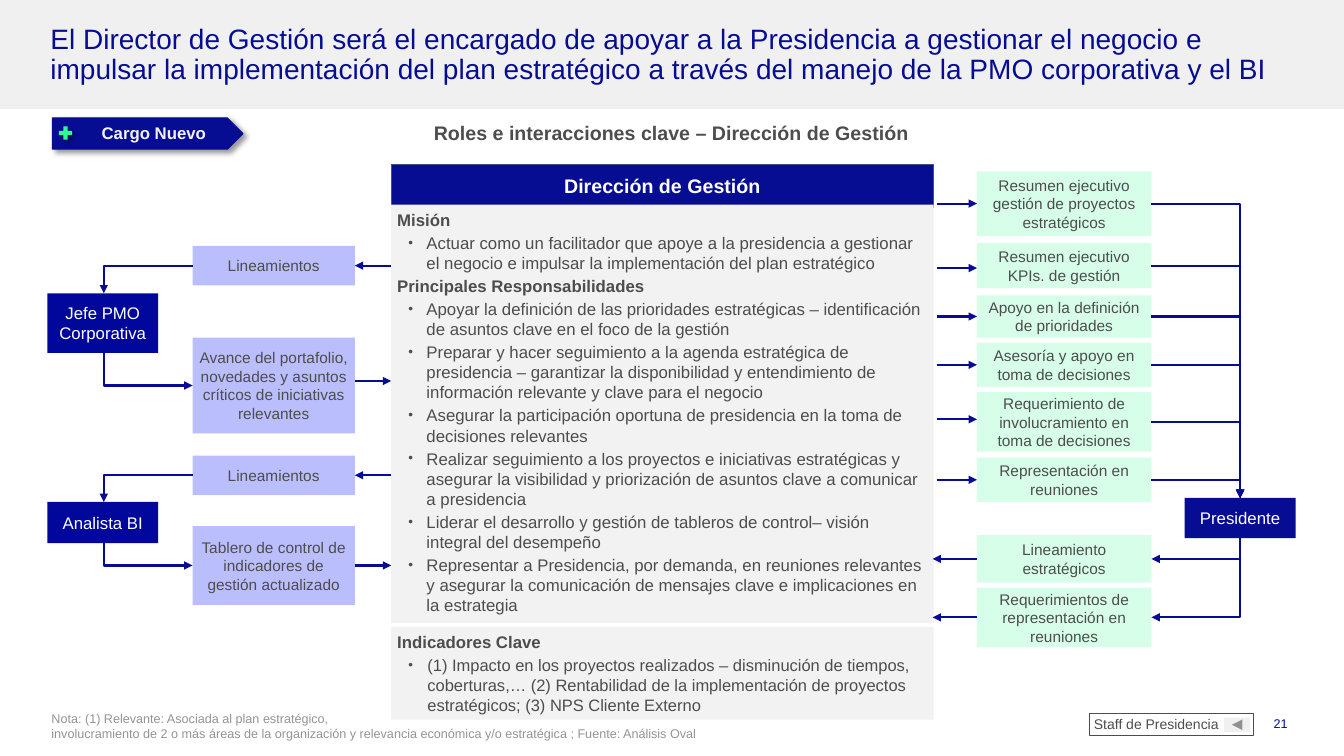
from lxml.etree import SubElement
from pptx import Presentation
from pptx.dml.color import RGBColor
from pptx.enum.shapes import MSO_CONNECTOR, MSO_SHAPE
from pptx.enum.text import MSO_ANCHOR, PP_ALIGN
from pptx.oxml.ns import qn
from pptx.util import Inches, Pt

COLORS = {
    "navy": "070D93", "role": "00079A", "lilac": "BBBEFC", "mint": "D6FEE9",
    "band": "F0F0F0", "panel": "F2F2F2", "text": "4D4D4D", "note": "949494",
    "white": "FFFFFF", "plus": "33F893", "edge": "42508E", "black": "000000",
}
TIGHT = (0.06, 0.05)
NARROW = (0.04, 0.05)


def rgb(name):
    return RGBColor.from_string(COLORS[name])


class SlideBuilder:
    font = "Arial"

    def __init__(self, slide):
        self.slide = slide

    def _frame(self, item, insets, anchor):
        frame = item.text_frame
        frame.word_wrap = True
        frame.vertical_anchor = anchor
        frame.margin_left = frame.margin_right = Inches(insets[0])
        frame.margin_top = frame.margin_bottom = Inches(insets[1])
        return frame

    def paragraph(self, frame, text, size, color, bold=False, align=PP_ALIGN.LEFT,
                  spacing=None, after=0, bullet=None, indent=0):
        """Fill the first empty paragraph or add one; bullet is (margin, hanging)."""
        first = frame.paragraphs[0]
        para = frame.add_paragraph() if first.runs else first
        para.alignment = align
        para.space_after = Pt(after)
        if spacing:
            para.line_spacing = spacing
        props = para._p.get_or_add_pPr()
        if indent:
            props.set("marL", str(Inches(indent)))
        if bullet:
            props.set("marL", str(Inches(bullet[0])))
            props.set("indent", str(-Inches(bullet[1])))
            tint = SubElement(props, qn("a:buClr"))
            SubElement(tint, qn("a:srgbClr"), val=COLORS[color])
            SubElement(props, qn("a:buSzPct"), val="80000")
            SubElement(props, qn("a:buFont"), typeface=self.font)
            SubElement(props, qn("a:buChar"), char="•")
        for i, line in enumerate(text.split("\n")):
            if i:
                para.add_line_break()
            run = para.add_run()
            run.text = line
            run.font.name, run.font.size, run.font.bold = self.font, Pt(size), bold
            run.font.color.rgb = rgb(color)

    def text(self, at, text, size, color, insets=(0.1, 0.05), anchor=MSO_ANCHOR.TOP, **style):
        box = self.slide.shapes.add_textbox(*map(Inches, at))
        self.paragraph(self._frame(box, insets, anchor), text, size, color, **style)

    def shape(self, at, fill=None, kind=MSO_SHAPE.RECTANGLE, line=None, width=0.75, shadow=False):
        item = self.slide.shapes.add_shape(kind, *map(Inches, at))
        item.shadow.inherit = False
        if fill:
            item.fill.solid()
            item.fill.fore_color.rgb = rgb(fill)
        else:
            item.fill.background()
        if line:
            item.line.color.rgb = rgb(line)
            item.line.width = Pt(width)
        else:
            item.line.fill.background()
        if shadow:
            effects = item._element.spPr.find(qn("a:effectLst"))
            outer = SubElement(effects, qn("a:outerShdw"), blurRad=str(Pt(4)), dist=str(Pt(3)),
                               dir="2700000", algn="tl", rotWithShape="0")
            tint = SubElement(outer, qn("a:srgbClr"), val=COLORS["black"])
            SubElement(tint, qn("a:alpha"), val="40000")
        return item

    def box(self, at, text, fill, size=11, color="text", insets=TIGHT, align=PP_ALIGN.CENTER,
            bold=False, spacing=None, after=0, indent=0, **look):
        item = self.shape(at, fill, **look)
        frame = self._frame(item, insets, MSO_ANCHOR.MIDDLE)
        self.paragraph(frame, text, size, color, bold, align, spacing, after, indent=indent)
        return item

    def panel(self, at, entries, bullet, bullet_size):
        """Grey panel; entries are (text, is_heading)."""
        frame = self._frame(self.shape(at, "panel"), TIGHT, MSO_ANCHOR.TOP)
        for text, heading in entries:
            self.paragraph(frame, text, 12 if heading else bullet_size, "text", bold=heading,
                           after=2, bullet=None if heading else bullet)

    def _connector(self, kind, start, end, arrow):
        link = self.slide.shapes.add_connector(kind, *map(Inches, (*start, *end)))
        link.line.color.rgb = rgb("navy")
        link.line.width = Pt(1.5)
        SubElement(link.line._get_or_add_ln(), qn(f"a:{arrow}"), type="triangle")
        SubElement(link._element.spPr, qn("a:effectLst"))
        return link

    def arrow(self, start, end, begin_at=None, end_at=None):
        """Straight arrow; begin_at and end_at are (box, side)."""
        link = self._connector(MSO_CONNECTOR.STRAIGHT, start, end, "tailEnd")
        if begin_at:
            link.begin_connect(*begin_at)
        if end_at:
            link.end_connect(*end_at)

    def elbow(self, side, stem, arrow):
        """One-bend line, level from side and then upright to stem."""
        link = self._connector(MSO_CONNECTOR.ELBOW, side, stem, arrow)
        link._element.spPr.find(qn("a:prstGeom")).set("prst", "bentConnector2")


def build_header(b):
    b.shape((0, 0, 13.33, 1.08), "band")
    b.text((0.46, 0.2, 12.4, 0.69),
           "El Director de Gestión será el encargado de apoyar a la Presidencia a gestionar el "
           "negocio e impulsar la implementación del plan estratégico a través del manejo de la "
           "PMO corporativa y el BI", 20, "navy", insets=NARROW, spacing=0.9)
    b.text((0.46, 1.18, 12.4, 0.31), "Roles e interacciones clave – Dirección de Gestión", 14,
           "text", anchor=MSO_ANCHOR.MIDDLE, bold=True, align=PP_ALIGN.CENTER, spacing=0.9)
    b.box((0.52, 1.17, 1.89, 0.31), "Cargo Nuevo", "navy", 12, "panel", NARROW, bold=True,
          spacing=0.9, indent=0.2, kind=MSO_SHAPE.PENTAGON, line="navy", shadow=True)
    b.shape((0.56, 1.23, 0.18, 0.18), "plus", MSO_SHAPE.MATH_PLUS, shadow=True)


def build_center(b):
    b.box((3.88, 1.63, 5.38, 0.43), "Dirección de Gestión", "navy", 14, "white",
          bold=True, line="edge", width=0.5)
    b.panel((3.88, 2.03, 5.38, 4.15), [
        ("Misión", True),
        ("Actuar como un facilitador que apoye a la presidencia a gestionar el negocio e impulsar "
         "la implementación del plan estratégico", False),
        ("Principales Responsabilidades", True),
        ("Apoyar la definición de las prioridades estratégicas – identificación de asuntos clave "
         "en el foco de la gestión", False),
        ("Preparar y hacer seguimiento a la agenda estratégica de presidencia – garantizar la "
         "disponibilidad y entendimiento de información relevante y clave para el negocio", False),
        ("Asegurar la participación oportuna de presidencia en la toma de decisiones relevantes",
         False),
        ("Realizar seguimiento a los proyectos e iniciativas estratégicas y asegurar la "
         "visibilidad y priorización de asuntos clave a comunicar a presidencia", False),
        ("Liderar el desarrollo y gestión de tableros de control– visión integral del desempeño",
         False),
        ("Representar a Presidencia, por demanda, en reuniones relevantes y asegurar la "
         "comunicación de mensajes clave e implicaciones en la estrategia", False),
    ], (0.29, 0.18), 12)
    b.panel((3.88, 6.22, 5.38, 0.92), [
        ("Indicadores Clave", True),
        ("(1) Impacto en los proyectos realizados – disminución de tiempos, coberturas,… "
         "(2) Rentabilidad de la implementación de proyectos estratégicos; (3) NPS Cliente "
         "Externo", False),
    ], (0.3, 0.19), 11.8)


def build_team(b):
    left, width, stem, panel = 1.91, 1.61, 1.03, 3.88
    roles = [  # role, top, height, guideline top, report, report top, height, arrow y
        ("Jefe PMO Corporativa", 2.91, 0.59, 2.44, "Avance del portafolio, novedades y asuntos "
         "críticos de iniciativas relevantes", 3.35, 0.95, 3.78),
        ("Analista BI", 4.98, 0.41, 4.52, "Tablero de control de indicadores de gestión "
         "actualizado", 5.22, 0.78, 5.61),
    ]
    for role, top, height, guide_top, report, report_top, report_height, arrow_y in roles:
        b.box((0.47, top, 1.1, height), role, "role", 12, "white", (0.1, 0.05))
        guide = b.box((left, guide_top, width, 0.39), "Lineamientos", "lilac", after=2)
        report_box = b.box((left, report_top, width, report_height), report, "lilac", after=2)
        guide_y, report_y = guide_top + 0.39 / 2, report_top + report_height / 2
        b.elbow((left, guide_y), (stem, top), "tailEnd")
        b.elbow((left, report_y), (stem, top + height), "headEnd")
        b.arrow((panel, guide_y), (left + width, guide_y), end_at=(guide, 3))
        centered = abs(arrow_y - report_y) < 0.02
        b.arrow((left + width, arrow_y), (panel, arrow_y),
                begin_at=(report_box, 3) if centered else None)


def build_president(b):
    left, width, stem, top, height = 9.69, 1.73, 12.3, 4.94, 0.4
    b.box((11.75, top, 1.1, height), "Presidente", "navy", 12, "white", (0.1, 0.05))
    deliverables = [  # text, top, height, arrow y when off the middle
        ("Resumen ejecutivo gestión de proyectos estratégicos", 1.7, 0.64, None),
        ("Resumen ejecutivo KPIs. de gestión", 2.41, 0.45, 2.66),
        ("Apoyo en la definición de prioridades", 2.93, 0.42, None),
        ("Asesoría y apoyo en toma de decisiones", 3.4, 0.44, None),
        ("Requerimiento de involucramiento en toma de decisiones", 3.89, 0.59, 4.16),
        ("Representación en reuniones", 4.54, 0.44, None),
    ]
    for text, box_top, box_height, arrow_y in deliverables:
        item = b.box((left, box_top, width, box_height), text, "mint", after=2)
        middle = box_top + box_height / 2
        y = arrow_y or middle
        b.arrow((9.29, y), (left, y), end_at=None if arrow_y else (item, 1))
        b.elbow((left + width, middle), (stem, top), "tailEnd")
    for text, box_top, box_height in [
        ("Lineamiento estratégicos", 5.31, 0.47),
        ("Requerimientos de representación en reuniones", 5.83, 0.59),
    ]:
        item = b.box((left, box_top, width, box_height), text, "mint", after=2)
        middle = box_top + box_height / 2
        b.arrow((left, middle), (9.25, middle), begin_at=(item, 1))
        b.elbow((left + width, middle), (stem, top + height), "headEnd")


def build_footer(b):
    b.text((0.47, 7.05, 11.02, 0.4), "Nota: (1) Relevante: Asociada al plan estratégico,\n"
           "involucramiento de 2 o más áreas de la organización y relevancia económica y/o "
           "estratégica ; Fuente: Análisis Oval", 9, "note", insets=(0.04, 0))
    b.text((11.76, 7.05, 1.11, 0.4), "21", 9, "navy", align=PP_ALIGN.RIGHT)
    b.box((10.81, 7.08, 1.62, 0.22), "Staff de Presidencia", None, 10, insets=NARROW,
          align=PP_ALIGN.LEFT, spacing=0.9, line="text")
    back = b.shape((12.14, 7.12, 0.26, 0.14), "band", MSO_SHAPE.ACTION_BUTTON_FORWARD_OR_NEXT)
    back.rotation = 180


def main():
    deck = Presentation()
    deck.slide_width, deck.slide_height = Inches(13.33), Inches(7.5)
    builder = SlideBuilder(deck.slides.add_slide(deck.slide_layouts[6]))
    for build in (build_header, build_center, build_team, build_president, build_footer):
        build(builder)
    deck.save("out.pptx")


if __name__ == "__main__":
    main()
